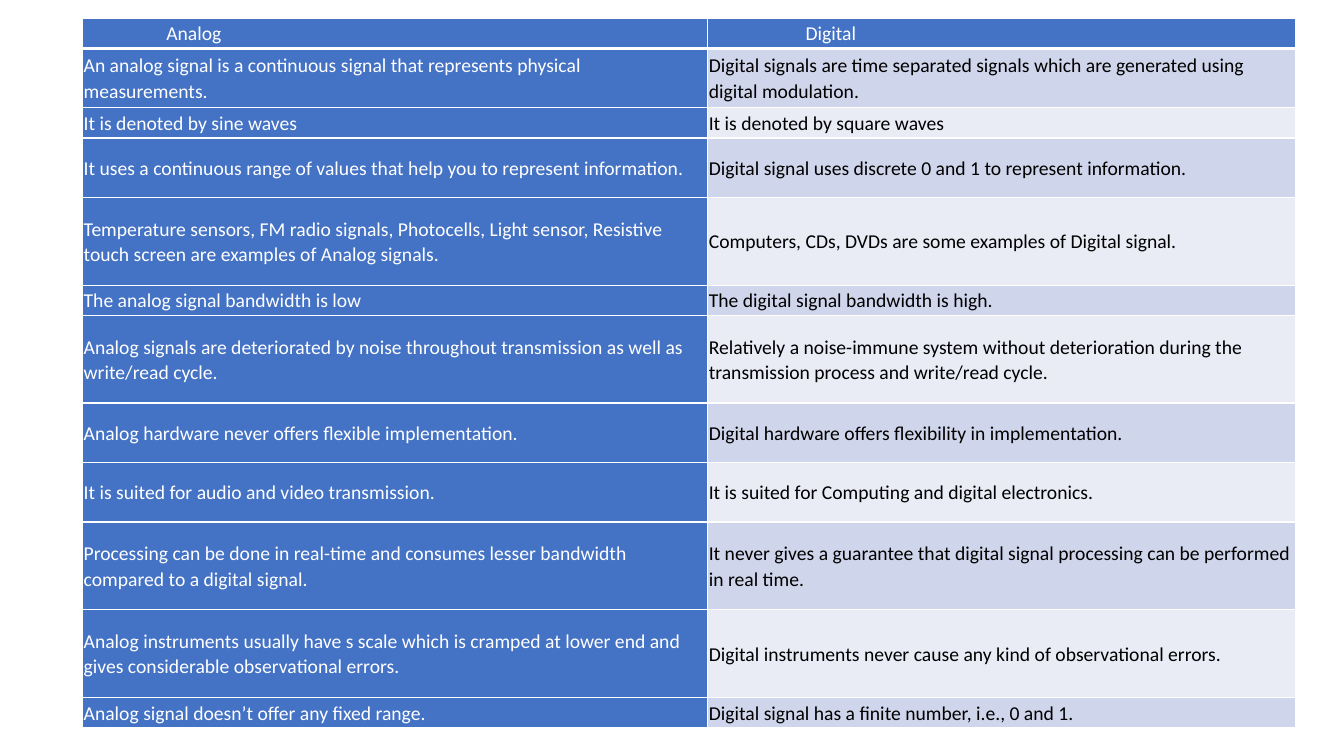
import pptx
import pptx.dml.color
import pptx.enum.text
import pptx.oxml
import pptx.oxml.ns
import pptx.util

Inches, Pt = pptx.util.Inches, pptx.util.Pt
RGB = pptx.dml.color.RGBColor.from_string

THEME = {
    "font": "Calibri",
    "size": Pt(14),
    "blue": "4472C4",
    "bands": ("E9EBF5", "CFD5EA"),
    "light": "FFFFFF",
    "dark": "000000",
}

SHORT, MEDIUM, TALL = 0.3, 0.59, 0.87
COL_WIDTHS = (6.2, 5.83)
HEADER_INDENTS = (0.83, 0.97)
MARGIN = 0.01

# Row height, analog text, digital text
ROWS = [
    (SHORT, "Analog", "Digital"),
    (MEDIUM, "An analog signal is a continuous signal that represents physical measurements.",
     "Digital signals are time separated signals which are generated using digital modulation."),
    (SHORT, "It is denoted by sine waves", "It is denoted by square waves"),
    (MEDIUM, "It uses a continuous range of values that help you to represent information.",
     "Digital signal uses discrete 0 and 1 to represent information."),
    (TALL, "Temperature sensors, FM radio signals, Photocells, Light sensor, Resistive "
     "touch screen are examples of Analog signals.",
     "Computers, CDs, DVDs are some examples of Digital signal."),
    (SHORT, "The analog signal bandwidth is low", "The digital signal bandwidth is high."),
    (TALL, "Analog signals are deteriorated by noise throughout transmission as well as "
     "write/read cycle.",
     "Relatively a noise-immune system without deterioration during the transmission "
     "process and write/read cycle."),
    (MEDIUM, "Analog hardware never offers flexible implementation.",
     "Digital hardware offers flexibility in implementation."),
    (MEDIUM, "It is suited for audio and video transmission.",
     "It is suited for Computing and digital electronics."),
    (TALL, "Processing can be done in real-time and consumes lesser bandwidth compared "
     "to a digital signal.",
     "It never gives a guarantee that digital signal processing can be performed in real time."),
    (TALL, "Analog instruments usually have s scale which is cramped at lower end and "
     "gives considerable observational errors.",
     "Digital instruments never cause any kind of observational errors."),
    (SHORT, "Analog signal doesn’t offer any fixed range.",
     "Digital signal has a finite number, i.e., 0 and 1."),
]


def add_border(cell, side, width):
    cell._tc.get_or_add_tcPr().append(pptx.oxml.parse_xml(
        f'<a:ln{side} {pptx.oxml.ns.nsdecls("a")} w="{Pt(width)}"><a:solidFill>'
        f'<a:srgbClr val="{THEME["light"]}"/></a:solidFill></a:ln{side}>'))


# Slide
prs = pptx.Presentation()
prs.slide_width, prs.slide_height = Inches(13.33), Inches(7.5)
s = prs.slides.add_slide(prs.slide_layouts[6])

# Comparison table
table = s.shapes.add_table(
    len(ROWS), len(COL_WIDTHS), Inches(0.82), Inches(0.18),
    Inches(sum(COL_WIDTHS)), Inches(sum(row[0] for row in ROWS))).table
for column, width in zip(table.columns, COL_WIDTHS):
    column.width = Inches(width)

for i, (height, *texts) in enumerate(ROWS):
    table.rows[i].height = Inches(height)
    for j, text in enumerate(texts):
        cell = table.cell(i, j)
        header = i == 0
        on_blue = header or j == 0

        # Borders and fill
        if header:
            for side, width in (("L", 1), ("R", 1), ("T", 1), ("B", 3)):
                add_border(cell, side, width)
        cell.fill.solid()
        cell.fill.fore_color.rgb = RGB(THEME["blue"] if on_blue else THEME["bands"][i % 2])

        # Text
        cell.margin_left = Inches(HEADER_INDENTS[j] if header else MARGIN)
        cell.margin_right = cell.margin_top = cell.margin_bottom = Inches(MARGIN)
        cell.vertical_anchor = pptx.enum.text.MSO_ANCHOR.MIDDLE
        p = cell.text_frame.paragraphs[0]
        p.text = text
        p.line_spacing = 1.07
        p.font.name = THEME["font"]
        p.font.size = THEME["size"]
        p.font.bold = False
        p.font.color.rgb = RGB(THEME["light"] if on_blue else THEME["dark"])

prs.save("out.pptx")
